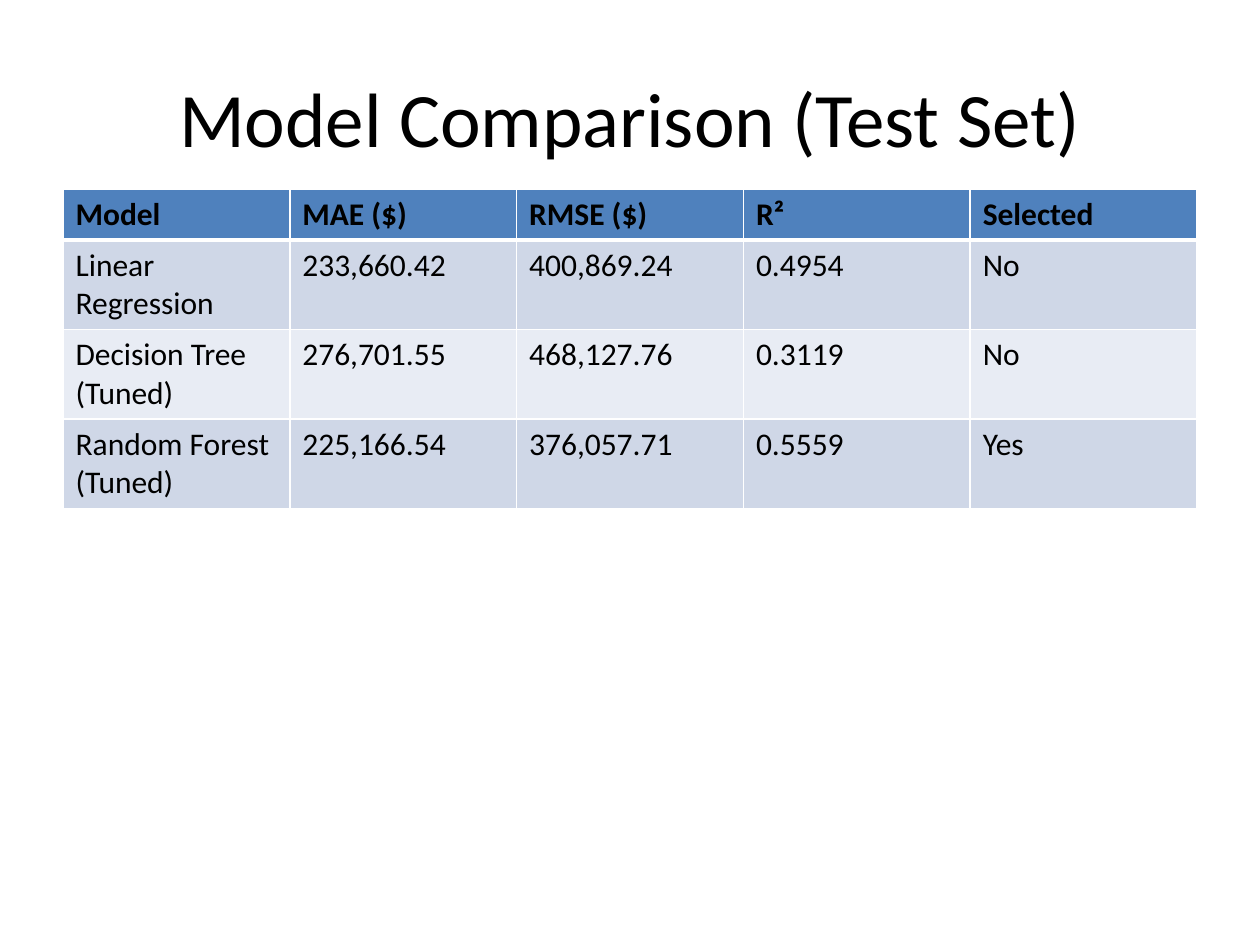
from lxml import etree
from pptx import Presentation
from pptx.dml.color import RGBColor
from pptx.enum.text import MSO_ANCHOR, PP_ALIGN
from pptx.oxml.ns import qn
from pptx.util import Inches, Pt

CENTER = PP_ALIGN.CENTER
LEFT = PP_ALIGN.LEFT
MIDDLE = MSO_ANCHOR.MIDDLE
COLORS = {
    "text": "000000",
    "header": "4F81BD",
    "odd_row": "CFD7E7",
    "even_row": "E8ECF4",
    "border": "FFFFFF",
}
ROWS = [
    ["Model", "MAE ($)", "RMSE ($)", "R²", "Selected"],
    ["Linear Regression", "233,660.42", "400,869.24", "0.4954", "No"],
    ["Decision Tree (Tuned)", "276,701.55", "468,127.76", "0.3119", "No"],
    ["Random Forest (Tuned)", "225,166.54", "376,057.71", "0.5559", "Yes"],
]


def write_text(frame, text, size=18, bold=False, align=LEFT):
    para = frame.paragraphs[0]
    para.alignment = align
    span = para.add_run()
    span.text = text
    span.font.name = "Calibri"
    span.font.size = Pt(size)
    span.font.bold = bold
    span.font.color.rgb = RGBColor.from_string(COLORS["text"])


def add_border(cell, side, width):
    line = etree.SubElement(cell._tc.get_or_add_tcPr(), qn(f"a:ln{side}"), w=str(Pt(width)))
    fill = etree.SubElement(line, qn("a:solidFill"))
    etree.SubElement(fill, qn("a:srgbClr"), val=COLORS["border"])


deck = Presentation()
deck.slide_width, deck.slide_height = Inches(10), Inches(7.5)
page = deck.slides.add_slide(deck.slide_layouts[5])

# Title
title = page.shapes.title
title.left, title.top = Inches(0.5), Inches(0.3)
title.width, title.height = Inches(9), Inches(1.25)
title.text_frame.vertical_anchor = MIDDLE
write_text(title.text_frame, "Model Comparison (Test Set)", size=44, align=CENTER)

# Comparison table
row_height = Inches(0.38)
table = page.shapes.add_table(
    len(ROWS), len(ROWS[0]), Inches(0.5), Inches(1.5), Inches(9), row_height * len(ROWS)
).table
for row_index, values in enumerate(ROWS):
    table.rows[row_index].height = row_height
    is_header = row_index == 0
    fill_name = "header" if is_header else "odd_row" if row_index % 2 else "even_row"
    # The rule between the header and the body is heavier
    widths = {"L": 1, "R": 1, "T": 3 if row_index == 1 else 1, "B": 3 if is_header else 1}
    for column_index, value in enumerate(values):
        cell = table.cell(row_index, column_index)
        write_text(cell.text_frame, value, bold=is_header)
        for side, width in widths.items():
            add_border(cell, side, width)
        cell.fill.solid()
        cell.fill.fore_color.rgb = RGBColor.from_string(COLORS[fill_name])

deck.save("out.pptx")
